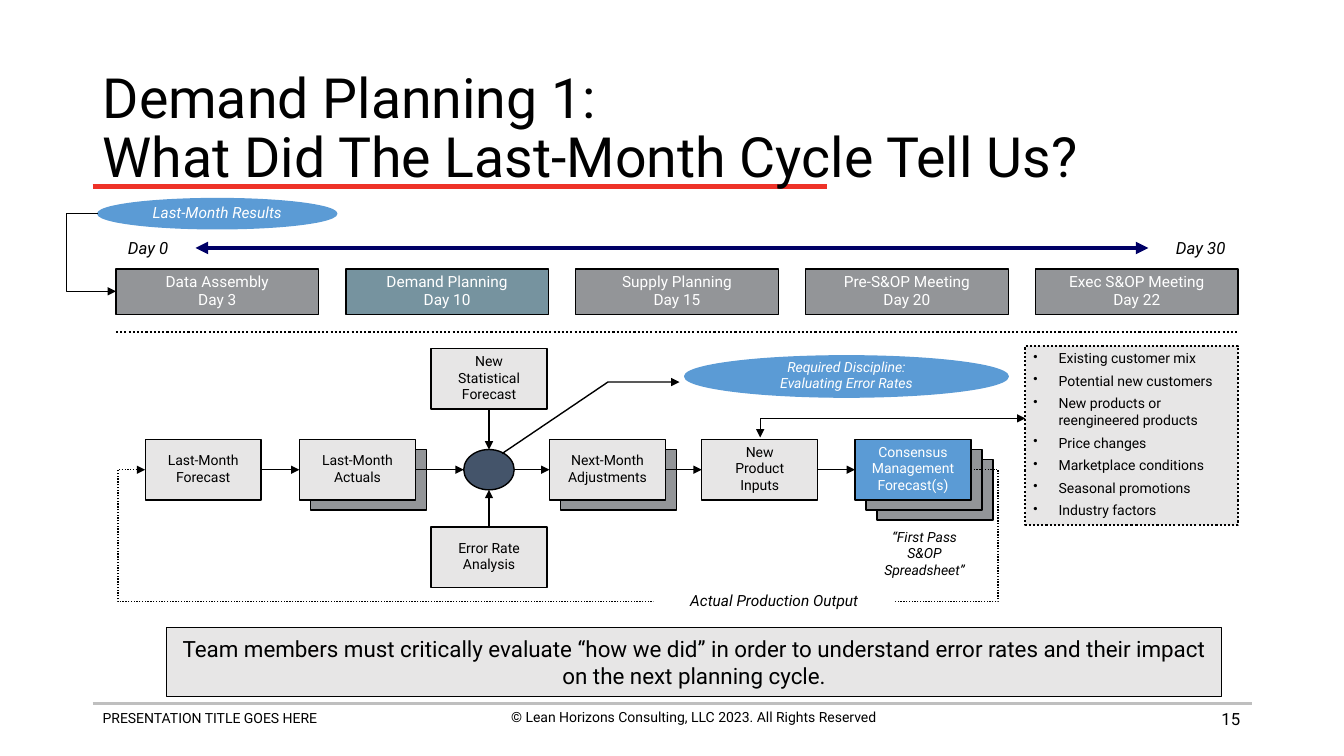
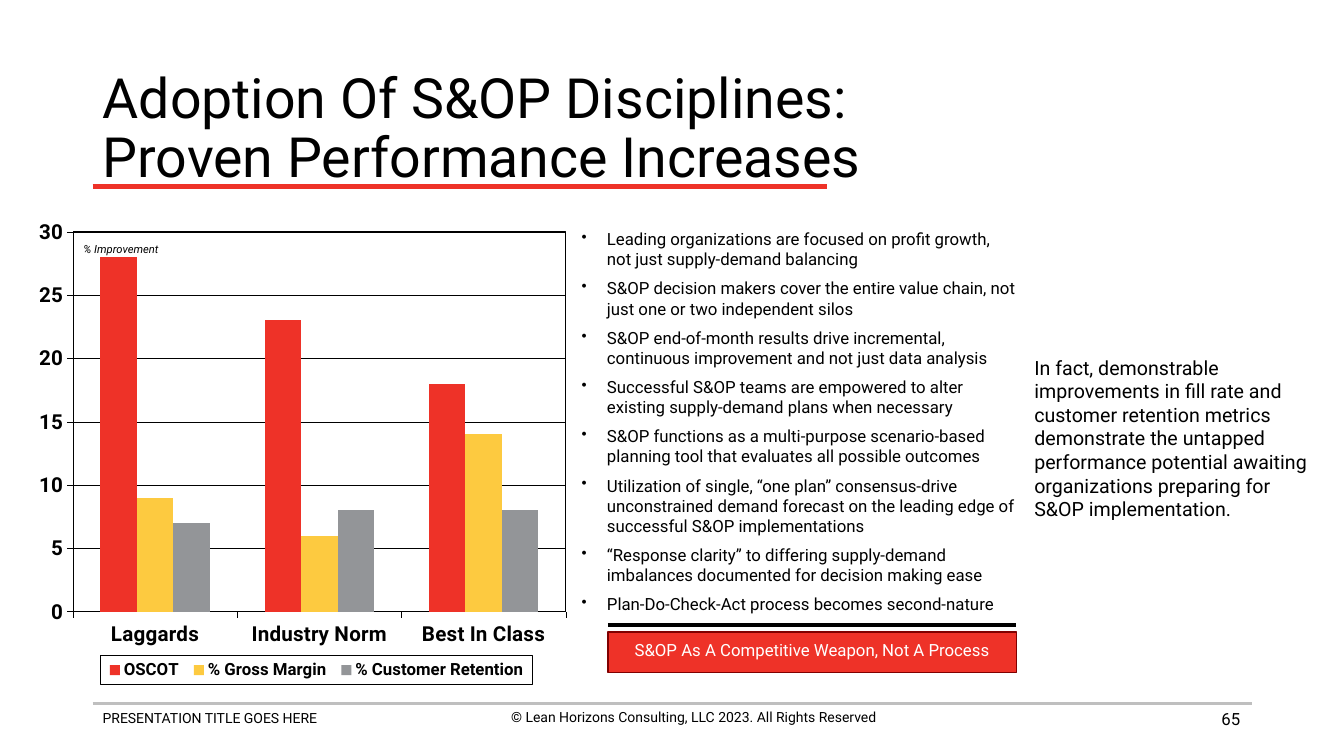
from typing import NamedTuple
from lxml.etree import SubElement
from pptx import Presentation
from pptx.chart.data import CategoryChartData
from pptx.dml.color import RGBColor
from pptx.enum.chart import XL_CHART_TYPE as ChartType, XL_LEGEND_POSITION as LegendPosition, XL_TICK_MARK as TickMark
from pptx.enum.dml import MSO_LINE_DASH_STYLE as Dash
from pptx.enum.shapes import MSO_CONNECTOR as Connector, MSO_SHAPE as Shape
from pptx.enum.text import MSO_ANCHOR as Anchor, PP_ALIGN as Align
from pptx.oxml import parse_xml
from pptx.oxml.ns import nsdecls, qn
from pptx.util import Inches, Pt

FONT = "Roboto"
COLORS = {
    "black": "000000", "white": "FFFFFF", "rule": "BFBFBF", "red": "EE3228", "maroon": "800000", "gray": "939598",
    "teal": "76939F", "blue": "5B9BD5", "navy": "000066", "pale": "E7E6E6", "slate": "44546A", "yellow": "FDCA40",
}
TOP, LEFT, BOTTOM, RIGHT = range(4)
CARD_WIDTH, CARD_HEIGHT = 1.15, 0.6
PROSE = {"align": Align.LEFT, "anchor": Anchor.TOP, "wrap": True, "spacing": 1}
BULLETS = {**PROSE, "bullets": True, "inset": (0.08, 0.04)}

class Box(NamedTuple):
    """A rectangle on the slide, in inches."""
    left: float
    top: float
    width: float
    height: float

    def inside(self, left, top, width, height):
        """Return a box placed relative to this one."""
        return Box(self.left + left, self.top + top, width, height)

    def point(self, x, y):
        """Return a slide point placed relative to this box."""
        return self.left + x, self.top + y

def lengths(numbers):
    """Turn inches into slide lengths."""
    return [Inches(number) for number in numbers]

def rgb(name):
    """Return a palette colour."""
    return RGBColor.from_string(COLORS[name])

def style_font(font, size, color="black", bold=False, italic=False):
    """Set the shared typeface with size and colour."""
    font.name, font.size, font.bold, font.italic = FONT, Pt(size), bold, italic
    font.color.rgb = rgb(color)

def write(shape, lines, size, color="black", align=Align.CENTER, anchor=Anchor.MIDDLE, italic=False,
          wrap=False, spacing=0.8, before=0.23, bullets=False, inset=(0.1, 0.05)):
    """Fill a shape with paragraphs; a nested list is joined by line breaks."""
    frame = shape.text_frame
    frame.word_wrap, frame.vertical_anchor = wrap, anchor
    frame.margin_left = frame.margin_right = Inches(inset[0])
    frame.margin_top = frame.margin_bottom = Inches(inset[1])
    for index, line in enumerate(lines):
        paragraph = frame.add_paragraph() if index else frame.paragraphs[0]
        if bullets:
            properties = paragraph._p.get_or_add_pPr()
            properties.set("marL", str(Inches(0.25)))
            properties.set("indent", str(-Inches(0.25)))
            SubElement(properties, qn("a:buSzPct"), val="90000")
            SubElement(properties, qn("a:buChar"), char="•")
        paragraph.alignment, paragraph.line_spacing = align, spacing
        paragraph.space_before = Pt(round(size * before, 1) if index else 0)
        for number, text in enumerate([line] if isinstance(line, str) else line):
            if number:
                paragraph.add_line_break()
            run = paragraph.add_run()
            run.text = text
            style_font(run.font, size, color, italic=italic)

def add_label(slide, box, lines, size, **options):
    """Add a text box."""
    write(slide.shapes.add_textbox(*lengths(box)), lines, size, **options)

def style_line(line, color="black", width=1, dash=None):
    """Set a line's colour, width and dash."""
    line.color.rgb, line.width = rgb(color), Pt(width)
    if dash:
        line.dash_style = dash

def add_block(slide, kind, box, fill, line="black", width=1, dash=None):
    """Add a filled preset shape without shadow."""
    shape = slide.shapes.add_shape(kind, *lengths(box))
    shape.shadow.inherit = False
    shape.fill.solid()
    shape.fill.fore_color.rgb = rgb(fill)
    if line:
        style_line(shape.line, line, width, dash)
    else:
        shape.line.fill.background()
    return shape

def add_heads(shape, head, tail):
    """Put arrowheads on the ends of a line."""
    outline = shape.element.spPr.find(qn("a:ln"))
    for wanted, tag in ((head, "a:headEnd"), (tail, "a:tailEnd")):
        if wanted:
            SubElement(outline, qn(tag), type="triangle")

def add_line(slide, start, end, color="black", width=1, dash=None, head=False, tail=False,
             begin_at=None, end_at=None, kind=Connector.STRAIGHT):
    """Add a connector, joined to shapes where sites are given."""
    connector = slide.shapes.add_connector(kind, *lengths((*start, *end)))
    if begin_at:
        connector.begin_connect(*begin_at)
    if end_at:
        connector.end_connect(*end_at)
    style_line(connector.line, color, width, dash)
    add_heads(connector, head, tail)
    SubElement(connector.element.spPr, qn("a:effectLst"))
    return connector

def add_route(slide, box, points, dash=None, head=False):
    """Add an open bent arrow through points relative to the box."""
    first, *others = [lengths(box.point(*point)) for point in points]
    builder = slide.shapes.build_freeform(*first)
    builder.add_line_segments(others, close=False)
    route = builder.convert_to_shape()
    route.shadow.inherit = False
    route.fill.background()
    style_line(route.line, dash=dash)
    add_heads(route, head, True)

def add_frame(presentation, title, number):
    """Add a slide with the shared title, rules and footer."""
    slide = presentation.slides.add_slide(presentation.slide_layouts[6])
    footer = Box(0.92, 6.98, 11.5, 0.44)
    add_line(slide, footer.point(0, 0), footer.point(footer.width, 0), "rule", 2)
    add_label(slide, footer.inside(0, 0.01, 4.56, 0.44), ["PRESENTATION TITLE GOES HERE"], 10, **PROSE)
    add_label(slide, footer.inside(3.68, 0, 4.56, 0.44),
              ["© Lean Horizons Consulting, LLC 2023. All Rights Reserved"], 10, **{**PROSE, "align": Align.CENTER})
    add_label(slide, footer.inside(8.48, -0.05, 3, 0.4), [number], 12, align=Align.RIGHT, wrap=True, spacing=1)
    add_line(slide, (0.92, 1.85), (8.2, 1.85), "red", 3)
    add_label(slide, Box(0.92, 0.74, 11.5, 1.1), [title], 39.6, align=Align.LEFT, spacing=0.9, wrap=True)
    return slide

def add_timeline(slide, box):
    """Draw the month arrow, the five stages and the results feeding them."""
    stages = [("Data Assembly", "Day 3"), ("Demand Planning", "Day 10"), ("Supply Planning", "Day 15"),
              ("Pre-S&OP Meeting", "Day 20"), ("Exec S&OP Meeting", "Day 22")]
    for index, stage in enumerate(stages):
        fill = "teal" if index == 1 else "gray"
        block = add_block(slide, Shape.RECTANGLE, box.inside(2.28 * index, 0.7, 2.01, 0.45), fill)
        write(block, stage, 11, "white")
    results = add_block(slide, Shape.OVAL, box.inside(-0.18, 0, 2.37, 0.3), "blue", "blue")
    write(results, ["Last-Month Results"], 11, "white", italic=True)
    feed = add_line(slide, box.point(-0.18, 0.15), box.point(0, 0.92), tail=True, kind=Connector.ELBOW)
    guides = feed.element.spPr.find(qn("a:prstGeom")).get_or_add_avLst()
    SubElement(guides, qn("a:gd"), name="adj1", fmla="val -172000")
    add_line(slide, box.point(0.79, 0.49), box.point(10.24, 0.49), "navy", 3, head=True, tail=True)
    for left, width, day in ((-0.07, 0.78, "Day 0"), (10.31, 0.9, "Day 30")):
        add_label(slide, box.inside(left, 0.38, width, 0.26), [day], 12, italic=True)
    add_line(slide, box.point(0, 1.32), box.point(box.width, 1.32), width=1.5, dash=Dash.ROUND_DOT)

def add_card(slide, box, left, top, lines, fill="pale", color="black", sheets=0):
    """Add a process card with sheets stacked behind it."""
    for depth in range(sheets, 0, -1):
        sheet = box.inside(left + 0.11 * depth, top + 0.1 * depth, CARD_WIDTH, CARD_HEIGHT)
        add_block(slide, Shape.RECTANGLE, sheet, "gray")
    card = add_block(slide, Shape.RECTANGLE, box.inside(left, top, CARD_WIDTH, CARD_HEIGHT), fill)
    write(card, lines, 10, color)
    return card

def add_process(slide, box):
    """Draw the demand planning flow with its feedback loop."""
    row, middle, center = 0.96, 1.26, 3.7
    column = center - CARD_WIDTH / 2
    forecast = add_card(slide, box, 0.29, row, ["Last-Month", "Forecast"])
    actuals = add_card(slide, box, 1.82, row, ["Last-Month", "Actuals"], sheets=1)
    adjustments = add_card(slide, box, 4.3, row, ["Next-Month", "Adjustments"], sheets=1)
    inputs = add_card(slide, box, 5.81, row, ["New", "Product", "Inputs"])
    consensus = add_card(slide, box, 7.33, row, ["Consensus", "Management", "Forecast(s)"], "blue", "white", 2)
    statistical = add_card(slide, box, column, 0.06, ["New", "Statistical", "Forecast"])
    errors = add_card(slide, box, column, 1.83, ["Error Rate", "Analysis"])
    add_block(slide, Shape.OVAL, box.inside(center - 0.25, middle - 0.2, 0.5, 0.4), "slate")

    west, east = box.point(center - 0.25, middle), box.point(center + 0.25, middle)
    north, south = box.point(center, middle - 0.2), box.point(center, middle + 0.2)
    for source, site, end in ((statistical, BOTTOM, north), (errors, TOP, south), (actuals, RIGHT, west)):
        add_line(slide, end, end, tail=True, begin_at=(source, site))
    add_line(slide, east, east, tail=True, end_at=(adjustments, LEFT))
    for source, target in ((forecast, actuals), (adjustments, inputs), (inputs, consensus)):
        add_line(slide, east, east, tail=True, begin_at=(source, RIGHT), end_at=(target, LEFT))

    discipline = add_block(slide, Shape.OVAL, box.inside(5.64, 0.13, 3.21, 0.41), "blue", "blue")
    write(discipline, ["Required Discipline:", "Evaluating Error Rates"], 10, "white", italic=True)
    add_route(slide, box, [(3.83, 1.1), (4.88, 0.39), (5.59, 0.39)])
    add_route(slide, box, [(8.48, middle), (8.75, middle), (8.75, 2.57), (0.02, 2.57), (0.02, middle),
                           (0.29, middle)], dash=Dash.ROUND_DOT)
    output = add_block(slide, Shape.RECTANGLE, box.inside(5.33, 2.45, 2.4, 0.24), "white", None)
    write(output, ["Actual Production Output"], 11, italic=True)
    factors = add_block(slide, Shape.RECTANGLE, box.inside(9.02, 0.03, 2.11, 1.78), "pale",
                        width=1.5, dash=Dash.ROUND_DOT)
    write(factors, ["Existing customer mix", "Potential new customers", "New products or reengineered products",
                    "Price changes", "Marketplace conditions", "Seasonal promotions", "Industry factors"],
          10, before=0.41, **BULLETS)
    add_route(slide, box, [(6.39, 0.94), (6.39, 0.75), (9.02, 0.75)], head=True)
    add_label(slide, box.inside(7.5, 1.82, 1.04, 0.57), ["“First Pass", "S&OP", "Spreadsheet”"], 10, italic=True)

def set_layout(element, position, fractions, target=""):
    """Fix the place of a chart region as fractions of the chart."""
    for layout in element.findall(qn("c:layout")):
        element.remove(layout)
    sizes = "".join(f'<c:{key} val="{value}"/>' for key, value in zip("xywh", fractions))
    element.insert(position, parse_xml(
        f'<c:layout {nsdecls("c")}><c:manualLayout>{target}<c:xMode val="edge"/><c:yMode val="edge"/>'
        f'{sizes}</c:manualLayout></c:layout>'))

def outline_xml():
    """Return the black outline of a chart region."""
    return parse_xml(f'<c:spPr {nsdecls("c", "a")}><a:noFill/><a:ln w="9525"><a:solidFill>'
                     f'<a:srgbClr val="{COLORS["black"]}"/></a:solidFill></a:ln></c:spPr>')

def add_improvement_chart(slide, box):
    """Draw the clustered columns of improvement by adoption class."""
    data = CategoryChartData()
    data.categories = ["Laggards", "Industry Norm", "Best In Class"]
    measures = [("OSCOT", (28, 23, 18), "red"), ("% Gross Margin", (9, 6, 14), "yellow"),
                ("% Customer Retention", (7, 8, 8), "gray")]
    for name, values, _ in measures:
        data.add_series(name, values)
    chart = slide.shapes.add_chart(ChartType.COLUMN_CLUSTERED, *lengths(box), data).chart
    chart.has_title, chart.has_legend = False, True
    style_font(chart.font, 14.7, bold=True)
    plot = chart.plots[0]
    plot.gap_width, plot.overlap, plot.vary_by_categories = 150, 0, False
    for series, (_, _, color) in zip(plot.series, measures):
        series.format.fill.solid()
        series.format.fill.fore_color.rgb = rgb(color)
        series.invert_if_negative = False
    for axis in (chart.category_axis, chart.value_axis):
        axis.major_tick_mark, axis.minor_tick_mark = TickMark.OUTSIDE, TickMark.NONE
        style_line(axis.format.line, width=0.25)
        style_font(axis.tick_labels.font, 14.7, bold=True)
    scale = chart.value_axis
    scale.minimum_scale, scale.maximum_scale, scale.major_unit = 0, 30, 5
    scale.has_major_gridlines = True
    style_line(scale.major_gridlines.format.line, width=0.25)
    chart.legend.position, chart.legend.include_in_layout = LegendPosition.BOTTOM, False
    style_font(chart.legend.font, 12, bold=True)
    plot_area, legend = [chart.element.find(f".//{qn(tag)}") for tag in ("c:plotArea", "c:legend")]
    set_layout(plot_area, 0, (0.08, 0.05, 0.9, 0.78), '<c:layoutTarget val="inner"/>')
    plot_area.append(outline_xml())
    set_layout(legend, 1, (0.13, 0.92, 0.79, 0.06))
    legend.find(qn("c:overlay")).addnext(outline_xml())
    add_label(slide, box.inside(0.44, 0.32, 0.96, 0.21), ["% Improvement"], 8, align=Align.LEFT, italic=True)

def add_findings(slide, box):
    """Place the findings list above its red conclusion bar."""
    add_label(slide, box.inside(0, 0, box.width, 3.95), [
        "Leading organizations are focused on profit growth, not just supply-demand balancing",
        "S&OP decision makers cover the entire value chain, not just one or two independent silos",
        "S&OP end-of-month results drive incremental, continuous improvement and not just data analysis",
        "Successful S&OP teams are empowered to alter existing supply-demand plans when necessary",
        "S&OP functions as a multi-purpose scenario-based planning tool that evaluates all possible outcomes",
        "Utilization of single, “one plan” consensus-drive unconstrained demand forecast on the leading edge of "
        "successful S&OP implementations",
        "“Response clarity” to differing supply-demand imbalances documented for decision making ease",
        "Plan-Do-Check-Act process becomes second-nature"], 12, before=0.53, **BULLETS)
    add_line(slide, box.point(0.34, 3.97), box.point(4.39, 3.97), width=3)
    bar = add_block(slide, Shape.RECTANGLE, box.inside(0.34, 4.04, 4.05, 0.4), "red", "maroon")
    write(bar, ["S&OP As A Competitive Weapon, Not A Process"], 12, "white")

def build_planning_slide(presentation):
    """Build the demand planning slide."""
    slide = add_frame(presentation, ["Demand Planning 1:", "What Did The Last-Month Cycle Tell Us?"], "15")
    add_timeline(slide, Box(1.15, 1.97, 11.14, 1.32))
    add_process(slide, Box(1.15, 3.4, 11.14, 2.7))
    message = add_block(slide, Shape.RECTANGLE, Box(1.65, 6.23, 10.47, 0.68), "pale", width=0.75)
    write(message, ["Team members must critically evaluate “how we did” in order to understand error rates "
                    "and their impact on the next planning cycle."], 16, wrap=True, spacing=1)

def build_performance_slide(presentation):
    """Build the performance increase slide."""
    slide = add_frame(presentation, ["Adoption Of S&OP Disciplines:", "Proven Performance Increases"], "65")
    add_improvement_chart(slide, Box(0.29, 2.06, 5.43, 4.83))
    add_findings(slide, Box(5.69, 2.23, 4.47, 4.44))
    add_label(slide, Box(10.16, 3.48, 3.01, 1.75), [
        "In fact, demonstrable improvements in fill rate and customer retention metrics demonstrate the untapped "
        "performance potential awaiting organizations preparing for S&OP implementation."], 14, **PROSE)

def main():
    """Build and save the presentation."""
    presentation = Presentation()
    presentation.slide_width, presentation.slide_height = Inches(13.33), Inches(7.5)
    build_planning_slide(presentation)
    build_performance_slide(presentation)
    presentation.save("out.pptx")

if __name__ == "__main__":
    main()
